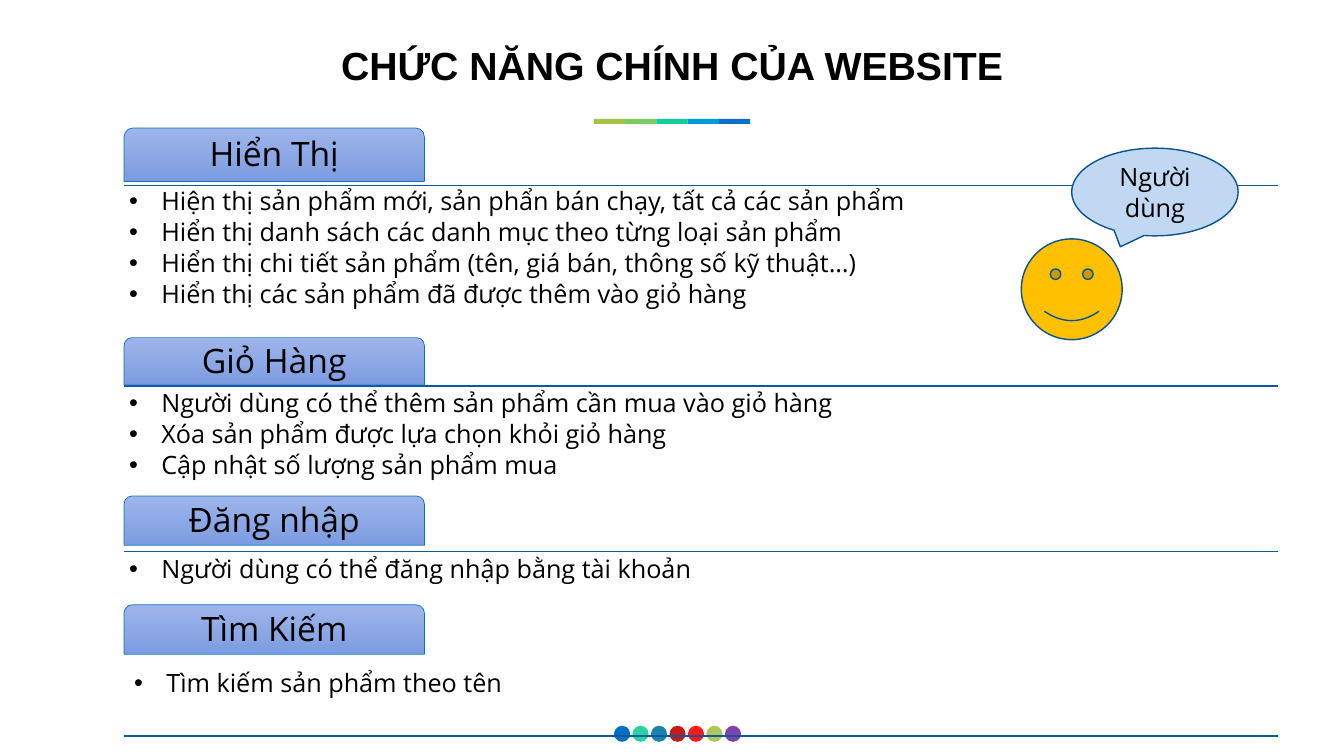
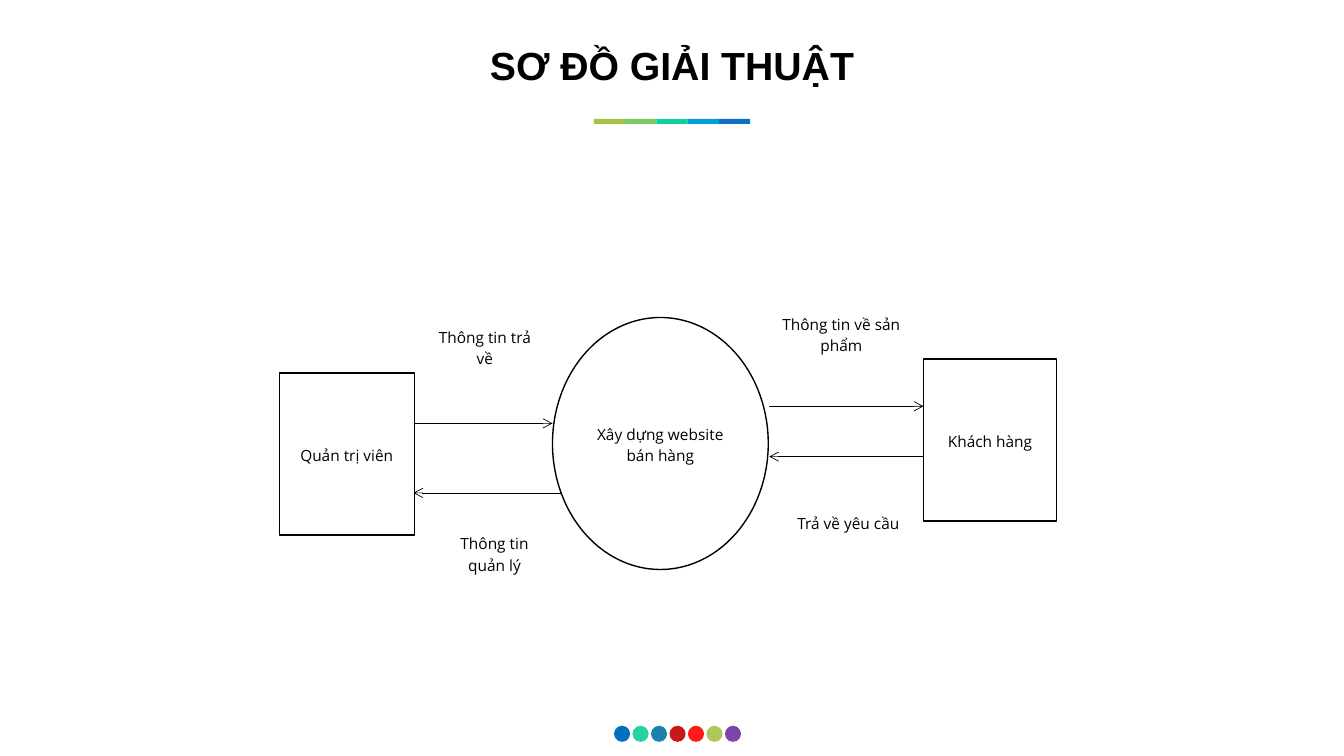
"""Build two slides: the main functions of a shop website and its context diagram."""
import lxml.etree
import pptx
import pptx.dml.color
import pptx.enum.dml
import pptx.enum.shapes
import pptx.enum.text
import pptx.oxml.ns
import pptx.shapes.connector
import pptx.util

Inches = pptx.util.Inches
Pt = pptx.util.Pt
RGBColor = pptx.dml.color.RGBColor
SHAPE = pptx.enum.shapes.MSO_SHAPE
STRAIGHT = pptx.enum.shapes.MSO_CONNECTOR.STRAIGHT
ANCHOR = pptx.enum.text.MSO_ANCHOR
ALIGN = pptx.enum.text.PP_ALIGN
qn = pptx.oxml.ns.qn

BLACK = RGBColor(0x00, 0x00, 0x00)
WHITE = RGBColor(0xFF, 0xFF, 0xFF)
BLUE = RGBColor(0x0F, 0x6F, 0xC6)
RULE_BLUE = RGBColor(0x0C, 0x59, 0x9F)
OUTLINE_BLUE = RGBColor(0x0B, 0x52, 0x92)
CALLOUT_BLUE = RGBColor(0xC1, 0xD8, 0xF2)
SMILEY_YELLOW = RGBColor(0xFF, 0xC0, 0x00)
TAB_LIGHT = RGBColor(0x9E, 0xB5, 0xEA)
TAB_DARK = RGBColor(0x7C, 0x9C, 0xE1)
TEAL = RGBColor(0x10, 0xCF, 0x9B)
LIME = RGBColor(0xA5, 0xC2, 0x49)
BAR_COLORS = [LIME, RGBColor(0x7C, 0xCA, 0x62), TEAL, RGBColor(0x00, 0x9D, 0xD9), BLUE]
DOT_COLORS = [
    RGBColor(0x00, 0x70, 0xC0), TEAL, RGBColor(0x00, 0x76, 0xA3), RGBColor(0xC0, 0x00, 0x00),
    RGBColor(0xFF, 0x00, 0x00), LIME, RGBColor(0x70, 0x30, 0xA0),
]
BODY_FONT = "Open Sans"
TITLE_FONT = "Arial"


def add_filled_shape(slide, kind, box, fill, line=None, width=1):
    """Add a preset shape with a plain fill and an optional outline."""
    shape = slide.shapes.add_shape(kind, *[Inches(length) for length in box])
    shape.shadow.inherit = False
    shape.fill.solid()
    shape.fill.fore_color.rgb = fill
    if line is None:
        shape.line.fill.background()
    else:
        shape.line.color.rgb = line
        shape.line.width = Pt(width)
    return shape


def write_text(shape, text, size, spacing=1.0, align=ALIGN.CENTER, anchor=ANCHOR.MIDDLE,
               font=BODY_FONT, bold=False, margin=None, bullets=False):
    """Fill a shape with evenly formatted paragraphs."""
    frame = shape.text_frame
    frame.text = text
    frame.word_wrap = True
    frame.auto_size = pptx.enum.text.MSO_AUTO_SIZE.NONE
    frame.vertical_anchor = anchor
    if margin is not None:
        frame.margin_left = frame.margin_right = Inches(margin)
        frame.margin_top = frame.margin_bottom = Inches(margin)
    for paragraph in frame.paragraphs:
        paragraph.alignment = align
        paragraph.line_spacing = spacing
        paragraph.space_before = Pt(0)
        paragraph.space_after = Pt(0.15 * size if bullets else 0)
        if bullets:
            properties = paragraph._p.get_or_add_pPr()
            properties.set("marL", str(Inches(0.32)))
            properties.set("indent", str(-Inches(0.32)))
            lxml.etree.SubElement(properties, qn("a:buFont"), typeface="Arial")
            lxml.etree.SubElement(properties, qn("a:buChar"), char="•")
        paragraph.font.name = font
        paragraph.font.size = Pt(size)
        paragraph.font.bold = bold
        paragraph.font.color.rgb = BLACK


presentation = pptx.Presentation()
presentation.slide_width = Inches(13.33)
presentation.slide_height = Inches(7.5)
functions_slide = presentation.slides.add_slide(presentation.slide_layouts.get_by_name("Comparison"))
diagram_slide = presentation.slides.add_slide(presentation.slide_layouts.get_by_name("Title Only"))

decorations = []
for index, color in enumerate(DOT_COLORS):
    dot = add_filled_shape(functions_slide, SHAPE.OVAL, (6.09 + index * 1.1 / 6, 7.2, 0.16, 0.16), color)
    if index > 0:
        fill_color = dot.element.xpath(".//a:solidFill/a:srgbClr")[0]
        lxml.etree.SubElement(fill_color, qn("a:alpha"), val="90000")
    decorations.append(dot)
for index, color in enumerate(BAR_COLORS):
    bar_box = (5.89 + index * 0.31, 1.18, 0.31, 0.05)
    decorations.append(add_filled_shape(functions_slide, SHAPE.RECTANGLE, bar_box, color))
for number, decoration in enumerate(decorations, start=20):
    decoration.element.xpath("./p:nvSpPr/p:cNvPr")[0].set("id", str(number))
    presentation.slide_master.shapes.element.append(decoration.element)

for slide, title_text in [
    (functions_slide, "CHỨC NĂNG CHÍNH CỦA WEBSITE"),
    (diagram_slide, "SƠ ĐỒ GIẢI THUẬT"),
]:
    title = slide.shapes.title
    title.left, title.top = Inches(2.71), Inches(0.4)
    title.width, title.height = Inches(7.91), Inches(0.49)
    write_text(title, title_text, 28, font=TITLE_FONT, bold=True)

sections = [
    ("Hiển Thị", 1.27, 0.53, 1.84, (1.23, 1.82, 11.45, 1.36), [
        "Hiện thị sản phẩm mới, sản phẩn bán chạy, tất cả các sản phẩm",
        "Hiển thị danh sách các danh mục theo từng loại sản phẩm",
        "Hiển thị chi tiết sản phẩm (tên, giá bán, thông số kỹ thuật…)",
        "Hiển thị các sản phẩm đã được thêm vào giỏ hàng",
    ]),
    ("Giỏ Hàng", 3.35, 0.47, 3.83, (1.23, 3.83, 11.45, 1.01), [
        "Người dùng có thể thêm sản phẩm cần mua vào giỏ hàng",
        "Xóa sản phẩm được lựa chọn khỏi giỏ hàng",
        "Cập nhật số lượng sản phẩm mua",
    ]),
    ("Đăng nhập", 4.92, 0.49, 5.47, (1.23, 5.47, 11.45, 0.5), [
        "Người dùng có thể đăng nhập bằng tài khoản",
    ]),
    ("Tìm Kiếm", 6, 0.49, 7.3, (1.28, 6.6, 4.34, 0.4), [
        "Tìm kiếm sản phẩm theo tên",
    ]),
]
bodies = list(functions_slide.placeholders)[1:]
for body, (heading, tab_top, tab_height, rule_top, list_box, items) in zip(bodies, sections):
    body.left, body.top, body.width, body.height = [Inches(length) for length in list_box]
    write_text(body, "\n".join(items), 18, spacing=0.9, align=ALIGN.LEFT, anchor=ANCHOR.TOP,
               margin=0.05, bullets=True)
    rule = functions_slide.shapes.add_connector(
        STRAIGHT, Inches(1.23), Inches(rule_top), Inches(12.68), Inches(rule_top))
    rule.line.color.rgb = RULE_BLUE
    rule.line.width = Pt(1)
    tab = add_filled_shape(functions_slide, SHAPE.ROUND_2_SAME_RECTANGLE,
                           (1.23, tab_top, 2.98, tab_height), TAB_LIGHT, BLUE, 0.5)
    tab.fill.gradient()
    tab.fill.gradient_angle = 270
    for stop, color in zip(tab.fill.gradient_stops, [TAB_LIGHT, TAB_DARK]):
        stop.color.rgb = color
    write_text(tab, heading, 24, spacing=0.9, margin=0.05)

add_filled_shape(functions_slide, SHAPE.SMILEY_FACE, (10.13, 2.37, 1, 1), SMILEY_YELLOW, OUTLINE_BLUE)
callout = add_filled_shape(functions_slide, SHAPE.OVAL_CALLOUT, (10.63, 1.47, 1.65, 0.87),
                           CALLOUT_BLUE, OUTLINE_BLUE)
write_text(callout, "Người dùng", 18)

for start_x, end_x, y in [
    (4.1, 5.48, 4.2), (5.56, 4.1, 4.89), (7.63, 9.16, 4.03), (9.16, 7.63, 4.53),
]:
    arrow = diagram_slide.shapes.add_connector(
        STRAIGHT, Inches(start_x), Inches(y), Inches(end_x), Inches(y))
    arrow.line.color.rgb = BLACK
    arrow.line.width = Pt(0.5)
    lxml.etree.SubElement(arrow.element.xpath(".//a:ln")[0], qn("a:tailEnd"), type="arrow")

for text, kind, box, outline in [
    ("Quản trị viên", SHAPE.RECTANGLE, (2.77, 3.7, 1.34, 1.61), BLACK),
    ("Khách hàng", SHAPE.RECTANGLE, (9.16, 3.56, 1.32, 1.61), BLACK),
    ("Xây dựng website bán hàng", SHAPE.OVAL, (5.48, 3.15, 2.14, 2.5), BLACK),
    ("Thông tin trả về", SHAPE.RECTANGLE, (4.21, 2.82, 1.2, 1.23), None),
    ("Thông tin về sản phẩm", SHAPE.RECTANGLE, (7.63, 2.75, 1.43, 1.12), None),
    ("Trả về yêu cầu", SHAPE.RECTANGLE, (7.78, 4.63, 1.27, 1.09), None),
    ("Thông tin quản lý", SHAPE.RECTANGLE, (4.33, 4.94, 1.15, 1.09), None),
]:
    node = add_filled_shape(diagram_slide, kind, box, WHITE, outline)
    write_text(node, text, 11, spacing=1.15)

for slide in presentation.slides:
    for shape in slide.shapes:
        if isinstance(shape, pptx.shapes.connector.Connector):
            lxml.etree.SubElement(shape.element.xpath("./p:spPr")[0], qn("a:effectLst"))

presentation.save("out.pptx")
